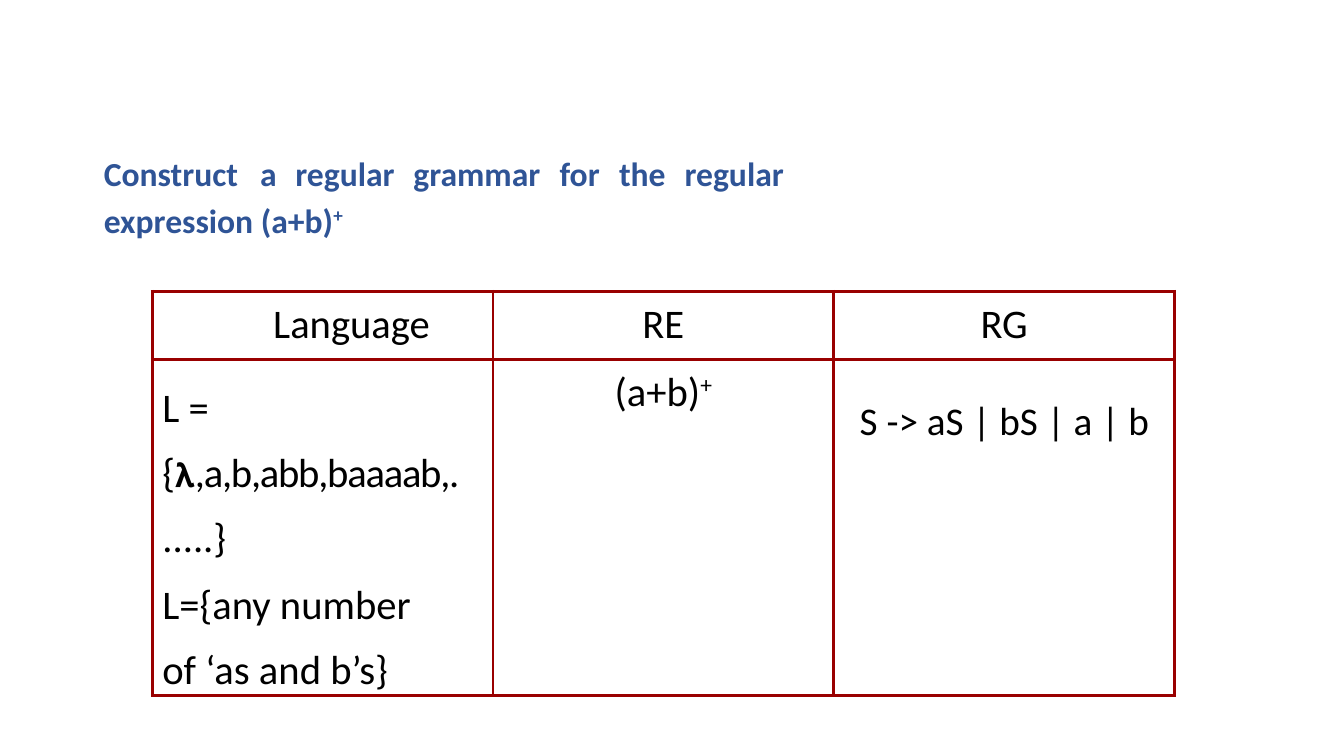
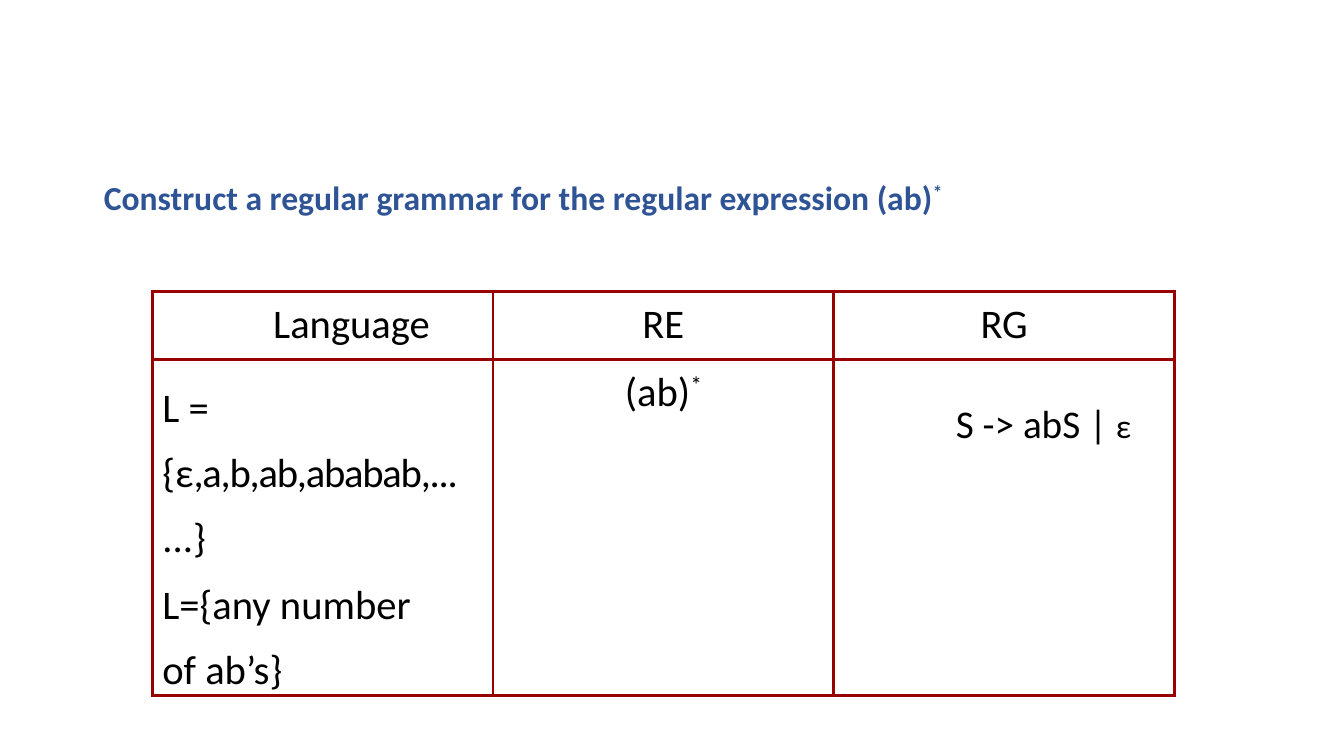
import pptx
import pptx.dml.color
import pptx.enum.text
import pptx.oxml
import pptx.oxml.ns
import pptx.util

Pt = pptx.util.Pt
mid = pptx.enum.text.PP_ALIGN.CENTER
left = pptx.enum.text.PP_ALIGN.LEFT
px = 9144
blue, black, red = "2F5496", "000000", "990000"


def tint(code):
    return pptx.dml.color.RGBColor.from_string(code)


def write(para, runs, size, color, bold=False):
    for text, opts in runs:
        if text == "\v":
            para.add_line_break()
            continue
        run = para.add_run()
        run.text = text
        font = run.font
        font.name = opts.get("face", "Calibri")
        font.size = Pt(opts.get("size", size))
        font.bold = bold
        font.color.rgb = tint(color)
        for key in ("baseline", "spc"):
            if key in opts:
                run._r.get_or_add_rPr().set(key, str(opts[key]))


up = {"baseline": 31000}
head = {"size": 23.6, "baseline": 32000}
tight = {"spc": -90}
sets = [
    {
        "box": (100, 145, 845, 91),
        "tabs": [155, 190, 307, 452, 511, 576, 693],
        "title": [("Construct\ta\tregular\tgrammar\tfor\tthe\tregular\texpression (a+b)", {}), ("+", head)],
        "lines": [
            [("L =", {})],
            [("{", tight), ("𝛌", {"size": 24, "face": "DejaVu Sans", "spc": -90}), (",a,b,abb,baaaab,.", tight)],
            [(".....}", {})],
            [("L={any number", {}), ("\v", {}), ("of ‘as and b’s}", {})],
        ],
        "re": [("(a+b)", {}), ("+", up)],
        "rg": [("S -> aS | bS | a | b", {})],
        "place": (0, 38, mid),
    },
    {
        "box": (100, 174, 843, 41),
        "tabs": [],
        "title": [("Construct a regular grammar for the regular expression (ab)", {}), ("*", head)],
        "lines": [
            [("L =", {})],
            [("{", tight), ("ε", {}), (",a,b,ab,ababab,...", tight)],
            [("...}", {})],
            [("L={any number", {}), ("\v", {}), ("of ab’s}", {})],
        ],
        "re": [("(ab)", {}), ("*", up)],
        "rg": [("S -> abS | ", {}), ("ε", {"size": 24})],
        "place": (121, 41, left),
    },
]

deck = pptx.Presentation()
deck.slide_width, deck.slide_height = 1333 * px, 750 * px

for item in sets:
    slide = deck.slides.add_slide(deck.slide_layouts[6])
    box = slide.shapes.add_textbox(*[n * px for n in item["box"]])
    frame = box.text_frame
    frame.word_wrap = True
    frame.margin_left, frame.margin_top = 3 * px, px
    frame.margin_right = 15 * px if item["tabs"] else 0
    frame.margin_bottom = 0
    para = frame.paragraphs[0]
    if item["tabs"]:
        para.line_spacing = 1.15
        stops = pptx.oxml.ns.qn("a:tabLst")
        tabs = para._p.get_or_add_pPr().makeelement(stops, {})
        para._p.get_or_add_pPr().append(tabs)
        for stop in item["tabs"]:
            tab = tabs.makeelement(pptx.oxml.ns.qn("a:tab"), {"pos": str(stop * px), "algn": "l"})
            tabs.append(tab)
    write(para, item["title"], 24, blue, True)

    grid = slide.shapes.add_table(2, 3, 151 * px, 289 * px, 1014 * px, 400 * px).table
    grid.first_row = grid.horz_banding = False
    for col in grid.columns:
        col.width = 338 * px
    for row, tall in zip(grid.rows, (68, 332)):
        row.height = tall * px

    cells = [
        ([[("Language", {})]], 29, (120, 8, left)),
        ([[("RE", {})]], 29, (0, 8, mid)),
        ([[("RG", {})]], 29, (0, 8, mid)),
        (item["lines"], 29, (10, 8, left)),
        ([item["re"]], 29, (0, 8, mid)),
        ([item["rg"]], 28, item["place"]),
    ]
    for cell, (lines, size, (side, top, align)) in zip(grid.iter_cells(), cells):
        cell.margin_left, cell.margin_top = side * px, top * px
        cell.margin_right = cell.margin_bottom = 0
        props = cell._tc.get_or_add_tcPr()
        for edge in "LRTB":
            props.append(pptx.oxml.parse_xml(
                f'<a:ln{edge} {pptx.oxml.ns.nsdecls("a")} w="{Pt(2.25)}"><a:solidFill>'
                f'<a:srgbClr val="{red}"/></a:solidFill></a:ln{edge}>'))
        cell.fill.background()
        frame = cell.text_frame
        for i, runs in enumerate(lines):
            para = frame.add_paragraph() if i else frame.paragraphs[0]
            para.alignment = align
            if len(lines) > 1:
                para.line_spacing = Pt(46.5)
            if i == 3:
                para.space_before = Pt(1.6)
            write(para, runs, size, black)

deck.save("out.pptx")
